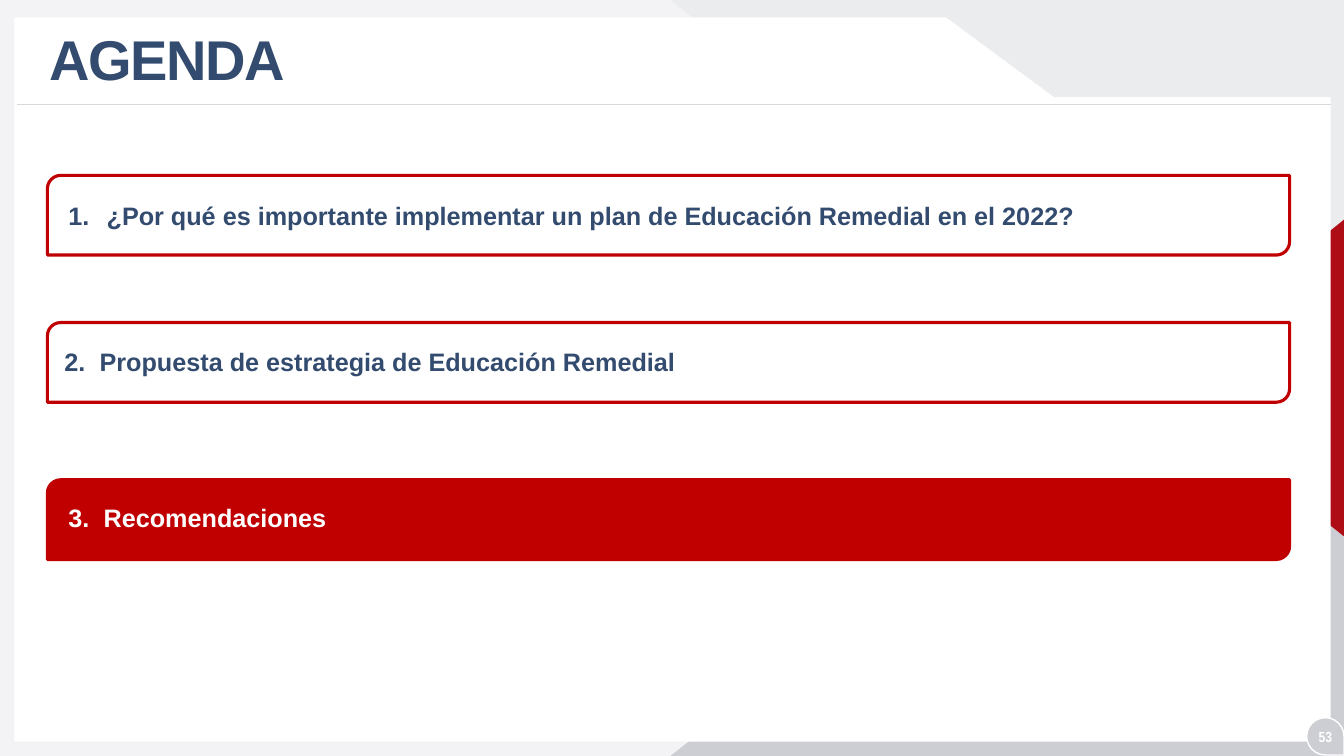
"""Build the agenda slide with its third topic highlighted."""
from lxml import etree
from pptx import Presentation
from pptx import util as u
from pptx.dml.color import RGBColor
from pptx.enum import shapes, text
from pptx.oxml import ns

PX = 9144
NAVY, RED, WHITE, GREY = "324B6E", "C00000", "FFFFFF", "CDCED3"
KIND = shapes.MSO_SHAPE


def paint(shape, fill=None, line=None, width=1):
    """Set fill and outline from hex strings, and drop the shadow."""
    shape.shadow.inherit = False
    for part, color in ((shape.fill, fill), (shape.line.fill, line)):
        if color:
            part.solid()
            part.fore_color.rgb = RGBColor.from_string(color)
        else:
            part.background()
    if line:
        shape.line.width = u.Pt(width)


def write(box, words, size, color, font="Arial", **formats):
    """Put one bold paragraph in a box and format it."""
    frame = box.text_frame
    frame.word_wrap = True
    frame.auto_size = text.MSO_AUTO_SIZE.NONE
    para = frame.paragraphs[0]
    for name, value in formats.items():
        setattr(para, name, value)
    span = para.add_run()
    span.text = words
    for name, value in {"name": font, "size": u.Pt(size), "bold": True}.items():
        setattr(span.font, name, value)
    span.font.color.rgb = RGBColor.from_string(color)
    return para


deck = Presentation()
deck.slide_width, deck.slide_height = 1333 * PX, 750 * PX
page = deck.slides.add_slide(deck.slide_layouts[5])

backdrop = [
    (KIND.RECTANGLE, (0, 0, 1333, 750), "F3F3F5", None),
    (KIND.ISOSCELES_TRIANGLE, (665, 0, 669, 531), "EBECEE", 1),
    (KIND.ISOSCELES_TRIANGLE, (665, 219, 669, 531), GREY, 1),
    (KIND.ISOSCELES_TRIANGLE, (1078, 277, 315, 196), "AF0D15", 0.5),
]
pieces = []
for kind, place, fill, peak in backdrop:
    piece = page.shapes.add_shape(kind, *(length * PX for length in place))
    paint(piece, fill)
    if peak is not None:
        piece.adjustments[0] = peak
    pieces.append(piece)
pieces[1]._element.spPr.xfrm.set("flipV", "1")
pieces[3].rotation = 270

outline = [(15, 18), (938, 18), (1045, 97), (1319, 97), (1319, 735), (15, 735)]
builder = page.shapes.build_freeform(*outline[0], scale=PX)
builder.add_line_segments(outline[1:], close=True)
paint(builder.convert_to_shape(), WHITE, WHITE)

rule = page.shapes.add_connector(
    shapes.MSO_CONNECTOR.STRAIGHT, 1320 * PX, 104 * PX, 17 * PX, 104 * PX)
rule.line.color.rgb = RGBColor.from_string("D9D9D9")
rule.line.width = u.Pt(0.5)
etree.SubElement(rule._element.spPr, ns.qn("a:effectLst"))

badge = page.shapes.add_shape(KIND.TEAR, 1296 * PX, 712 * PX, 37 * PX, 37 * PX)
badge.rotation = 90
paint(badge, GREY, WHITE)
number = page.shapes.add_textbox(1291 * PX, 717 * PX, 47 * PX, 28 * PX)
number.text_frame.vertical_anchor = text.MSO_ANCHOR.MIDDLE
write(number, "53", 10.5, WHITE, "Arial Narrow", alignment=text.PP_ALIGN.CENTER)

title = page.shapes.title
title.left, title.top, title.width, title.height = (
    length * PX for length in (39, 22, 966, 79))
title.text_frame.vertical_anchor = text.MSO_ANCHOR.MIDDLE
heading = write(title, "AGENDA", 40, NAVY,
                alignment=text.PP_ALIGN.LEFT, line_spacing=0.9)
heading.runs[0].font._element.set("spc", "-100")
page.shapes._spTree.append(title._element)

topics = [
    ("¿Por qué es importante implementar un plan de Educación Remedial en el 2022?",
     174, 58, 194, 38, None, NAVY),
    ("Propuesta de estrategia de Educación Remedial", 320, 54, 339, 35, None, NAVY),
    ("Recomendaciones", 476, 58, 493, 35, RED, WHITE),
]
for order, (words, top, left, text_top, indent, fill, color) in enumerate(topics, 1):
    frame = page.shapes.add_shape(
        KIND.ROUND_2_DIAG_RECTANGLE, 47 * PX, top * PX, 1232 * PX, 79 * PX)
    paint(frame, fill, RED, 2.25)
    label = page.shapes.add_textbox(left * PX, text_top * PX, 1200 * PX, 40 * PX)
    para = write(label, words, 18, color)
    props = para._p.get_or_add_pPr()
    props.set("marL", str(indent * PX))
    props.set("indent", str(-indent * PX))
    etree.SubElement(props, ns.qn("a:buFont"), typeface="+mj-lt")
    etree.SubElement(props, ns.qn("a:buAutoNum"),
                     type="arabicPeriod", startAt=str(order))

deck.save("out.pptx")
